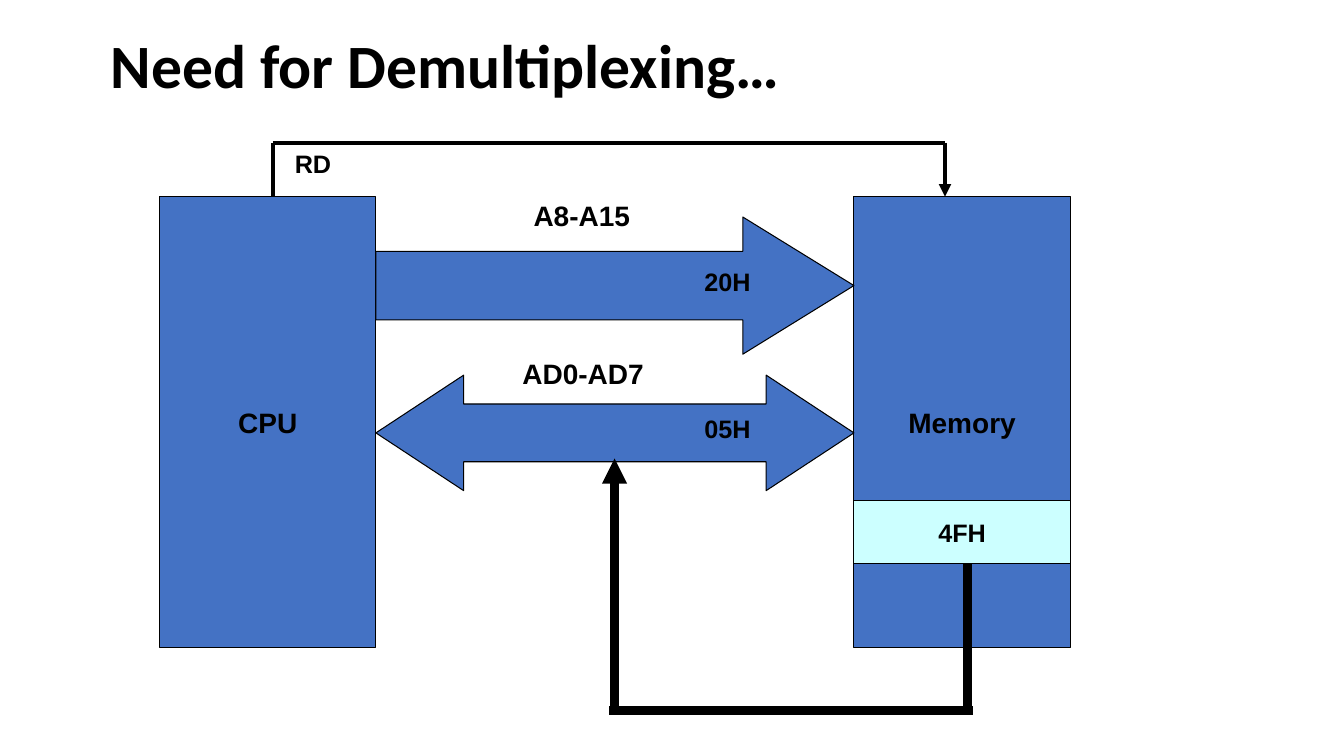
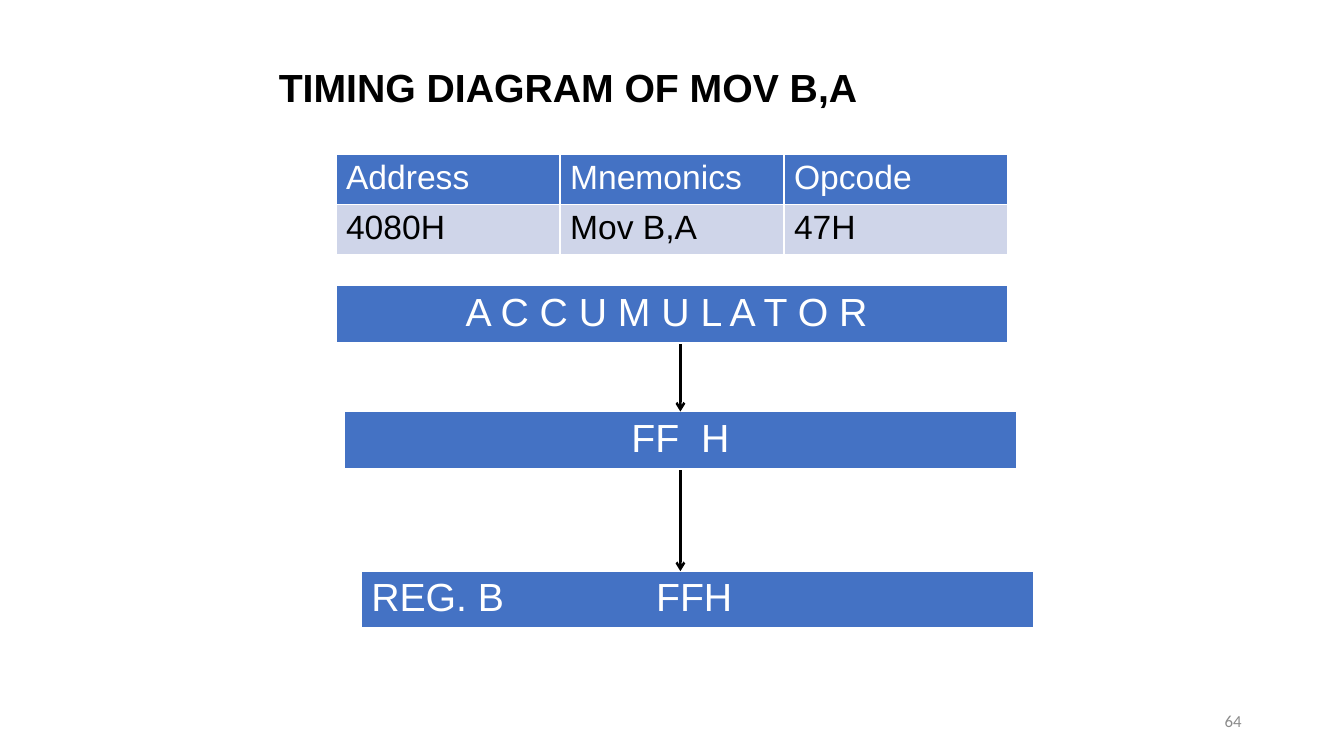
from lxml import etree
from pptx import Presentation
from pptx.dml.color import RGBColor
from pptx.enum import shapes, text
from pptx.oxml import ns
from pptx.util import Pt

BLACK = RGBColor(0x00, 0x00, 0x00)
WHITE = RGBColor(0xFF, 0xFF, 0xFF)
BLUE = RGBColor(0x44, 0x72, 0xC4)
PALE_BLUE = RGBColor(0xCF, 0xD5, 0xE9)
PALE_CYAN = RGBColor(0xCC, 0xFF, 0xFF)
GRAY = RGBColor(0x8B, 0x8B, 0x8B)
LEFT, CENTER, RIGHT = text.PP_ALIGN.LEFT, text.PP_ALIGN.CENTER, text.PP_ALIGN.RIGHT
TITLE_ONLY = 5
BAR_WIDTH, BAR_HEIGHT = 480, 40.5


def format_paragraph(paragraph, size, color=BLACK, bold=False, align=LEFT, name="Arial"):
    """Apply font and alignment to a whole paragraph."""
    paragraph.alignment = align
    font = paragraph.font
    font.name, font.size, font.bold = name, Pt(size), bold
    font.color.rgb = color


def add_titled_slide(presentation, title, box, size, name="Arial", spacing=1.0):
    """Add a slide whose title placeholder is bold and left-aligned."""
    slide = presentation.slides.add_slide(presentation.slide_layouts[TITLE_ONLY])
    shape = slide.shapes.title
    shape.left, shape.top, shape.width, shape.height = map(Pt, box)
    frame = shape.text_frame
    frame.text = title
    frame.auto_size = text.MSO_AUTO_SIZE.NONE
    frame.vertical_anchor = text.MSO_ANCHOR.TOP
    paragraph = frame.paragraphs[0]
    paragraph.line_spacing = spacing
    format_paragraph(paragraph, size, bold=True, name=name)
    return slide


def add_label(slide, label, left, top, width, size, **style):
    """Add a one-line text box."""
    box = slide.shapes.add_textbox(Pt(left), Pt(top), Pt(width), Pt(30))
    frame = box.text_frame
    frame.word_wrap = True
    frame.text = label
    format_paragraph(frame.paragraphs[0], size, **style)
    return box


def add_block(slide, kind, box, fill=BLUE, label="", size=20):
    """Add an outlined preset shape with an optional centred label."""
    shape = slide.shapes.add_shape(kind, *map(Pt, box))
    shape.shadow.inherit = False
    shape.fill.solid()
    shape.fill.fore_color.rgb = fill
    shape.line.color.rgb = BLACK
    shape.line.width = Pt(0.75)
    if label:
        frame = shape.text_frame
        frame.word_wrap = False
        frame.vertical_anchor = text.MSO_ANCHOR.MIDDLE
        frame.text = label
        format_paragraph(frame.paragraphs[0], size, bold=True, align=CENTER)
    return shape


def add_wire(slide, start, end, width, arrowhead=None):
    """Add a straight black line, with an arrowhead at its end if named."""
    wire = slide.shapes.add_connector(
        shapes.MSO_CONNECTOR.STRAIGHT, *map(Pt, (*start, *end)))
    wire.line.color.rgb = BLACK
    wire.line.width = Pt(width)
    properties = wire.element.spPr
    if arrowhead:
        line = properties.get_or_add_ln()
        etree.SubElement(line, ns.qn("a:tailEnd"), type=arrowhead)
    etree.SubElement(properties, ns.qn("a:effectLst"))


def add_table(slide, rows, left, top, row_height, size, align=LEFT):
    """Add a table with a blue first row and pale rows below it."""
    columns = len(rows[0])
    table = slide.shapes.add_table(
        len(rows), columns, Pt(left), Pt(top),
        Pt(BAR_WIDTH), Pt(row_height * len(rows))).table
    table.first_row = table.horz_banding = False
    for row_index, row in enumerate(rows):
        fill, color = (PALE_BLUE, BLACK) if row_index else (BLUE, WHITE)
        for column_index, value in enumerate(row):
            cell = table.cell(row_index, column_index)
            cell.text = value
            cell.fill.solid()
            cell.fill.fore_color.rgb = fill
            format_paragraph(cell.text_frame.paragraphs[0], size, color, align=align)
    return table


def add_bar(slide, label, left, top, align=CENTER, tab=None):
    """Add a one-cell register bar, with a tab stop if given."""
    table = add_table(slide, [[label]], left, top, BAR_HEIGHT, 28, align)
    paragraph = table.cell(0, 0).text_frame.paragraphs[0]
    if tab:
        stops = etree.Element(ns.qn("a:tabLst"))
        etree.SubElement(stops, ns.qn("a:tab"), pos=str(Pt(tab)), algn="l")
        paragraph._p.get_or_add_pPr().insert(0, stops)
    return paragraph


def build_demultiplexing(presentation):
    """Draw the processor, the memory and the buses between them."""
    slide = add_titled_slide(presentation, "Need for Demultiplexing…",
                             (72, 21.6, 612, 90), 44, "Calibri", 0.9)
    kinds = shapes.MSO_SHAPE
    processor, memory, top, width, height = 114, 610, 140.5, 154.5, 322
    for left, label in ((processor, "CPU"), (memory, "Memory")):
        add_block(slide, kinds.RECTANGLE, (left, top, width, height), label=label)

    bus_left = processor + width
    bus_width = memory - bus_left
    buses = (
        (kinds.RIGHT_ARROW, 155, 98, 0.81, "A8-A15", 374, 138, "20H", 186.5),
        (kinds.LEFT_RIGHT_ARROW, 268, 82.5, 0.76, "AD0-AD7", 366, 251, "05H", 291.5),
    )
    for kind, bus_top, bus_height, head, name, name_left, name_top, value, value_top in buses:
        arrow = add_block(slide, kind, (bus_left, bus_top, bus_width, bus_height))
        arrow.adjustments[1] = head
        add_label(slide, name, name_left, name_top, 135, 20, bold=True)
        add_label(slide, value, 496, value_top, 90, 18, bold=True)

    add_wire(slide, (195, top), (195, 102), 3)
    add_wire(slide, (195, 102), (675, 102), 3)
    add_wire(slide, (675, 102), (675, top), 3, "triangle")
    add_label(slide, "RD", 203.5, 102.5, 57, 18, bold=True)

    add_block(slide, kinds.RECTANGLE, (memory, 357.5, width, 45), PALE_CYAN, "4FH", 18)
    add_wire(slide, (691, 402.5), (691, 507.5), 6)
    add_wire(slide, (695, 507.5), (435, 507.5), 6)
    add_wire(slide, (439, 507.5), (439, 327.5), 6, "triangle")


def build_timing(presentation):
    """Draw the instruction table and the register transfer."""
    slide = add_titled_slide(presentation, "TIMING DIAGRAM OF MOV B,A",
                             (192, 41.5, 588, 40), 28)
    add_table(slide, [["Address", "Mnemonics", "Opcode"],
                      ["4080H", "Mov B,A", "47H"]], 240, 110, 36, 24)
    add_bar(slide, "A C C U M U L A T O R ", 240, 204)

    value = add_bar(slide, "FF", 246, 294)
    for part, spacing in ((" ", 780), ("H", 0)):
        run = value.add_run()
        run.text = part
        run._r.get_or_add_rPr().set("spc", str(spacing))

    add_bar(slide, "REG. B\tFFH", 258, 408, LEFT, tab=203.5)
    for start, end in ((246, 294), (336, 408)):
        add_wire(slide, (486, start), (486, end), 1.75, "arrow")
    number = add_label(slide, "64", 678, 500, 216, 12,
                       color=GRAY, align=RIGHT, name="Calibri")
    number.text_frame.vertical_anchor = text.MSO_ANCHOR.MIDDLE


def main():
    """Build and save the presentation."""
    presentation = Presentation()
    presentation.slide_width, presentation.slide_height = Pt(960), Pt(540)
    build_demultiplexing(presentation)
    build_timing(presentation)
    presentation.save("out.pptx")


if __name__ == "__main__":
    main()
